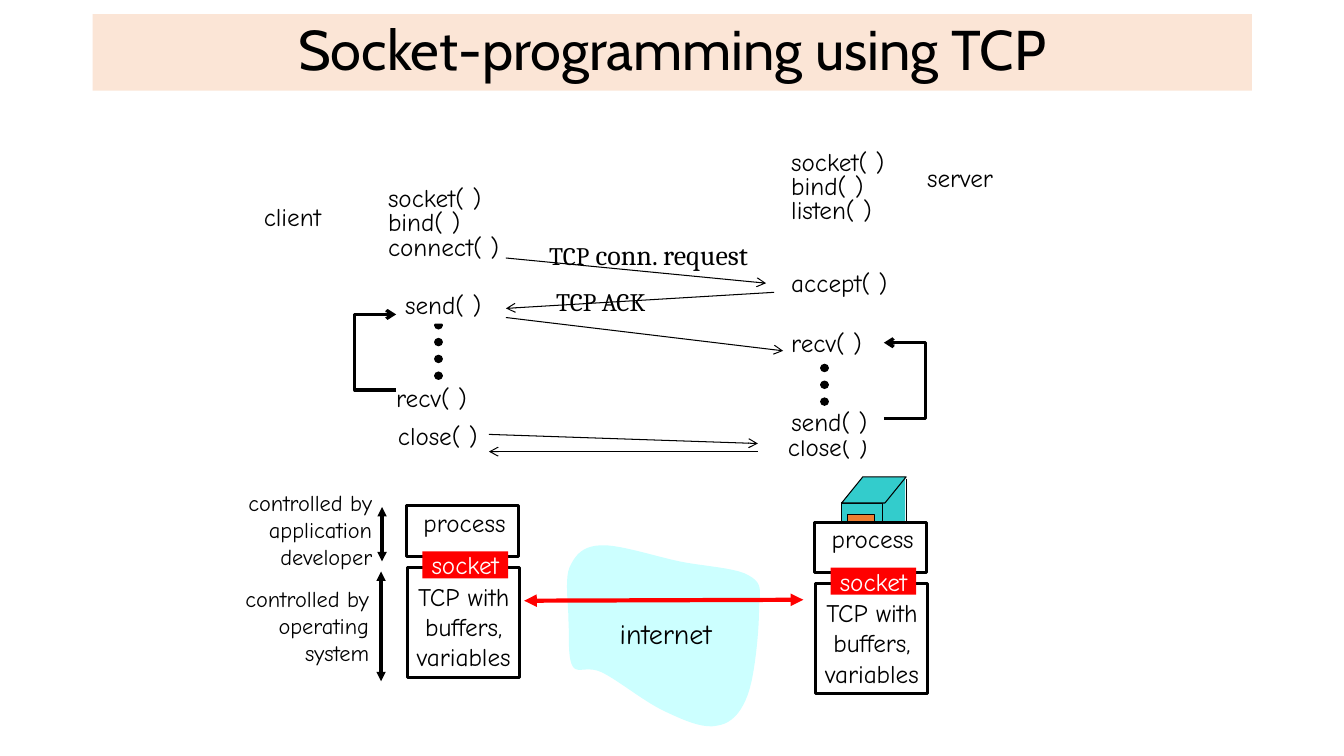
from lxml import etree
from pptx import Presentation
from pptx.dml.color import RGBColor
from pptx.enum import dml, shapes, text
from pptx.oxml import ns
from pptx.util import Pt

COLOURS = {"black": "000000", "white": "FFFFFF", "peach": "FBE5D6", "teal": "33CCCC",
           "orange": "ED7D31", "red": "FF0000", "cloud": "CCFFFF"}
HAND, SERIF = "Comic Neue", "Cambria"
LEFT, CENTRE, RIGHT = text.PP_ALIGN.LEFT, text.PP_ALIGN.CENTER, text.PP_ALIGN.RIGHT
RECT, SLANT = shapes.MSO_SHAPE.RECTANGLE, shapes.MSO_SHAPE.PARALLELOGRAM

TITLE = "Socket-programming using TCP"
TITLE_AREA = (66.2, 10.1, 828, 54.7)

DOTTED = [((589, 262.8), (589, 316.8)), ((313.2, 220.3), (313.2, 292.3))]

# shape, area, fill, outline width
TOWER = [
    (SLANT, (601.2, 403.9, 46.1, 18.7), "teal", 0),
    (RECT, (625, 341.3, 21.6, 63.4), "teal", 0),
    (RECT, (601.2, 359.3, 29.5, 63.4), "teal", 0.75),
    (SLANT, (601.2, 340.6, 46.1, 18.7), "teal", 0.75),
    (RECT, (605.5, 367.2, 19.4, 36.7), "orange", 0.75),
]
TOWER_EDGES = [((647.3, 342), (647.3, 403.9)), ((647.3, 403.9), (630.7, 422.6))]

STACKS = [(290.2, 361.4), (581.8, 373)]  # client, server

CLOUD_START = (429.1, 389.5)
CLOUD_CURVES = [
    ((416.2, 390.2), (411.1, 396), (406.8, 405.4)),
    ((403.2, 414), (406.1, 432), (406.1, 443.5)),
    ((406.8, 455.8), (405.4, 469.4), (409, 475.9)),
    ((412.6, 481.7), (419, 475.2), (429.8, 480.2)),
    ((440.6, 485.3), (460.1, 501.1), (473.8, 507.6)),
    ((487.4, 514.1), (501.8, 520.6), (511.9, 518.4)),
    ((522, 517), (529.2, 509.8), (534.2, 496.1)),
    ((539.3, 482.4), (542.2, 450), (542.2, 435.6)),
    ((542.9, 421.2), (545, 416.9), (535, 411.1)),
    ((525.6, 405.4), (502.6, 404.6), (485.3, 401)),
    ((468, 397.4), (442.1, 388.8), (429.1, 389.5)),
]

# lines, area, size, alignment
CAPTIONS = [
    (["controlled by", "application", "developer"], (160.6, 341.3, 112.3, 74.2), 16, RIGHT),
    (["controlled by", "operating", "system"], (158.4, 409.7, 112.3, 74.2), 16, RIGHT),
    (["internet"], (429.8, 434.9, 91.4, 35.3), 20, CENTRE),
    (["client"], (181.4, 140.4, 77, 41), 18, LEFT),
    (["server"], (655.2, 112.3, 87.1, 41), 18, LEFT),
    (["close( )"], (277.2, 296.6, 74.9, 32.4), 18, LEFT),
    (["close( )"], (555.8, 304.6, 74.9, 32.4), 18, LEFT),
]
# lines, area, line spacing, fill
CALLS = [
    (["socket( )", "bind( )", "connect( )"], (277.2, 134.6, 83.5, 60.5), 0.8, None),
    (["socket( )", "bind( )", "listen( )"], (565.2, 108.7, 77, 60.5), 0.8, None),
    (["accept( )"], (565.2, 190.8, 77, 25.2), 1, None),
    (["send( )"], (289.4, 208.8, 66.2, 22.3), 0.9, "white"),
    (["recv( )"], (565.2, 238.3, 77, 20.2), 0.8, "white"),
    (["recv( )"], (283, 275.8, 66.2, 22.3), 0.9, "white"),
    (["send( )"], (565.2, 292.3, 66.2, 22.3), 0.9, "white"),
]
REQUEST_AREA = (385.2, 166.3, 166, 31)
ACK_AREA = (390.2, 200.9, 90, 28.8)

MESSAGES = [
    ((361.4, 184.3), (547.2, 202.3)),
    ((553, 208.8), (361.4, 220.3)),
    ((361.4, 226.8), (559.4, 250.6)),
    ((349.2, 310.3), (541.4, 316.8)),
    ((541.4, 322.6), (349.2, 322.6)),
]
# start, end, colour, width
SPANS = [
    ((272.9, 401), (272.9, 362.2), "black", 2.25),
    ((272.2, 486.7), (272.2, 408.2), "black", 2.25),
    ((573.8, 428.4), (374.4, 429.1), "red", 3),
]
# inner x, outer x, bottom, top
LOOPS = [(283, 253.4, 278.6, 224.6), (631.4, 661, 298.8, 244.8)]


def rgb(name):
    return RGBColor.from_string(COLOURS[name])


def points(values):
    return [Pt(value) for value in values]


def style_line(line, colour, width, head=None, tail=None):
    line.color.rgb = rgb(colour)
    line.width = Pt(width)
    stroke = line._get_or_add_ln()
    for tag, kind in (("a:headEnd", head), ("a:tailEnd", tail)):
        if kind:
            etree.SubElement(stroke, ns.qn(tag), type=kind)
    return stroke


def add_line(start, end, colour="black", width=0.75, head=None, tail=None):
    line = page.shapes.add_connector(shapes.MSO_CONNECTOR.STRAIGHT, *points(start + end))
    etree.SubElement(line._element.spPr, ns.qn("a:effectLst"))
    style_line(line.line, colour, width, head, tail)
    return line


def paint(shape, fill, width):
    shape.shadow.inherit = False
    if fill:
        shape.fill.solid()
        shape.fill.fore_color.rgb = rgb(fill)
    else:
        shape.fill.background()
    if width:
        style_line(shape.line, "black", width)
    else:
        shape.line.fill.background()


def add_block(kind, area, fill, width):
    block = page.shapes.add_shape(kind, *points(area))
    if kind == SLANT:
        block.adjustments[0] = 0.81
    paint(block, fill, width)
    return block


def write(frame, lines, size, align, font=HAND, colour="black", spacing=1, inset=True, middle=False):
    frame.text = "\n".join(lines)
    frame.word_wrap = True
    frame.vertical_anchor = text.MSO_ANCHOR.MIDDLE if middle else text.MSO_ANCHOR.TOP
    if not inset:
        frame.margin_left = frame.margin_right = frame.margin_top = frame.margin_bottom = 0
    for para in frame.paragraphs:
        para.alignment = align
        para.line_spacing = spacing
        for span in para.runs:
            span.font.name, span.font.size = font, Pt(size)
            span.font.color.rgb = rgb(colour)


def add_label(lines, area, size, align, fill=None, **style):
    box = page.shapes.add_textbox(*points(area))
    if fill:
        box.fill.solid()
        box.fill.fore_color.rgb = rgb(fill)
    write(box.text_frame, lines, size, align, **style)
    return box


def add_stack(x, y):
    """Draw a host: process on top, socket in between, TCP below."""
    add_block(RECT, (x, y, 79.9, 36), "white", 2.25)
    add_label(["process"], (x + 2, y - 4.3, 79.2, 32.4), 18, CENTRE, middle=True)
    add_block(RECT, (x + 0.7, y + 44, 79.9, 78.5), None, 2.25)
    add_label(["TCP with", "buffers,", "variables"], (x - 3.6, y + 44.7, 89.3, 82.8), 18, CENTRE,
              middle=True)
    socket = add_block(RECT, (x + 11.5, y + 32.4, 61.2, 19.4), "red", 0)
    write(socket.text_frame, ["socket"], 18, CENTRE, colour="white", inset=False, middle=True)


def curve_points(start, curves, steps=10):
    """Sample a chain of cubic curves."""
    for first, second, end in curves:
        for step in range(1, steps + 1):
            t = step / steps
            weights = ((1 - t) ** 3, 3 * t * (1 - t) ** 2, 3 * t ** 2 * (1 - t), t ** 3)
            yield tuple(sum(w * p[axis] for w, p in zip(weights, (start, first, second, end)))
                        for axis in (0, 1))
        start = end


def add_outline(start, corners, close):
    builder = page.shapes.build_freeform(*points(start))
    builder.add_line_segments([points(corner) for corner in corners], close=close)
    return builder.convert_to_shape()


deck = Presentation()
deck.slide_width, deck.slide_height = Pt(960), Pt(540)
page = deck.slides.add_slide(deck.slide_layouts[5])

title = page.shapes.title
title.left, title.top, title.width, title.height = points(TITLE_AREA)
title.fill.solid()
title.fill.fore_color.rgb = rgb("peach")
write(title.text_frame, [TITLE], 40, CENTRE, font="Cabin", spacing=0.9, middle=True)

for start, end in DOTTED:
    dots = add_line(start, end, width=6)
    dots.line.dash_style = dml.MSO_LINE.ROUND_DOT
    dots.line._get_or_add_ln().set("cap", "rnd")

for part in TOWER:
    add_block(*part)
for start, end in TOWER_EDGES:
    add_line(start, end)
for corner in STACKS:
    add_stack(*corner)

paint(add_outline(CLOUD_START, curve_points(CLOUD_START, CLOUD_CURVES), True), "cloud", 0)

for lines, area, size, align in CAPTIONS:
    add_label(lines, area, size, align, middle=align != LEFT)
for lines, area, spacing, fill in CALLS:
    add_label(lines, area, 18, LEFT, fill=fill, spacing=spacing, inset=False)

request = add_label(["TCP"], REQUEST_AREA, 18, LEFT, font=SERIF)
rest = request.text_frame.paragraphs[0].add_run()
rest.text = " conn. request"
rest.font.name, rest.font.size = SERIF, Pt(20)
rest.font.color.rgb = rgb("black")
add_label(["TCP ACK"], ACK_AREA, 18, LEFT, font=SERIF)

for start, end in MESSAGES:
    add_line(start, end, tail="arrow")
for start, end, colour, width in SPANS:
    add_line(start, end, colour, width, head="triangle", tail="triangle")
for inner, outer, bottom, top in LOOPS:
    loop = add_outline((inner, bottom), [(outer, bottom), (outer, top), (inner, top)], False)
    paint(loop, None, 0)
    style_line(loop.line, "black", 2.25, tail="arrow")

deck.save("out.pptx")
